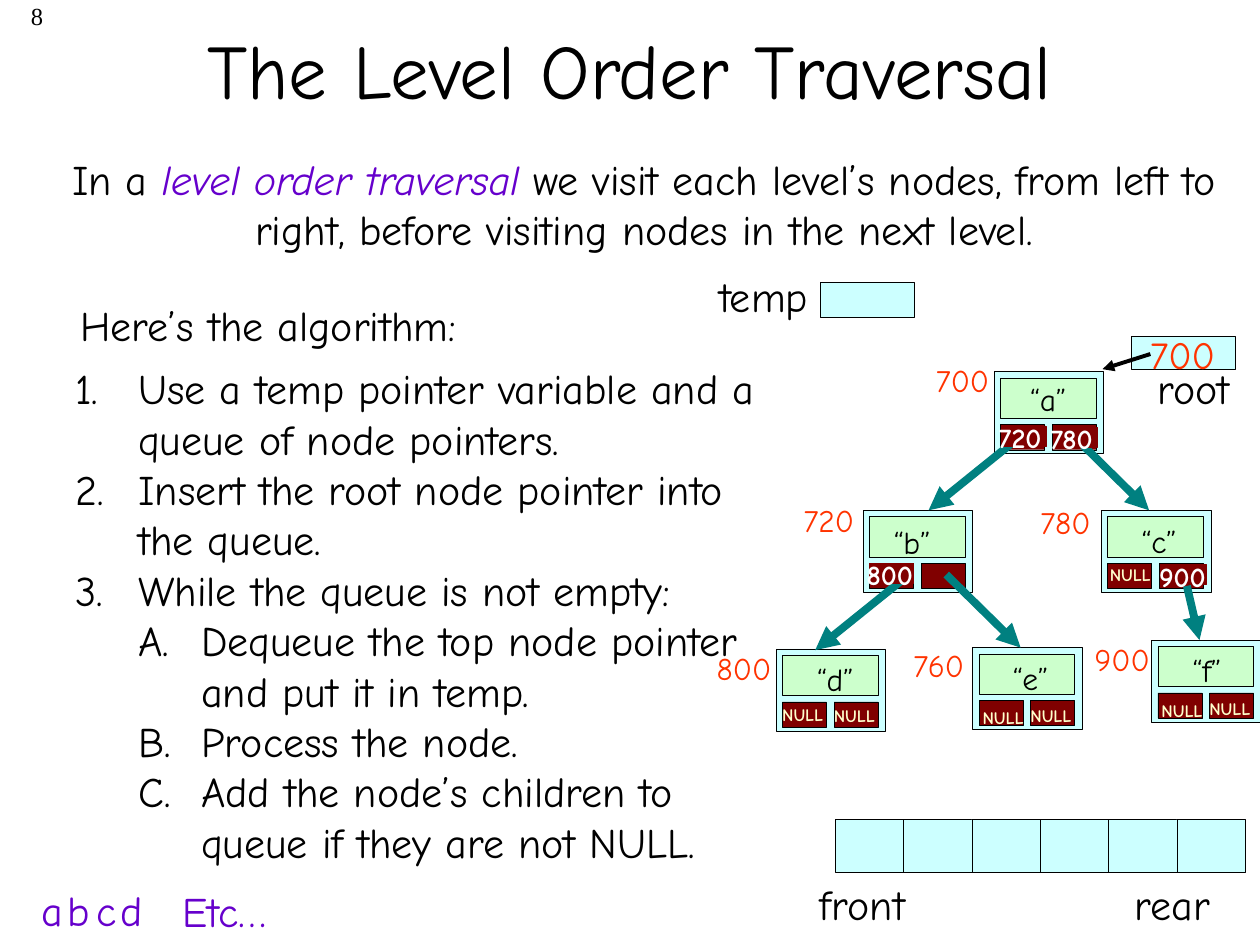
import pptx
import pptx.util
import pptx.dml.color
import pptx.enum.shapes
import pptx.enum.text
import pptx.oxml.ns
from lxml import etree

RGB = pptx.dml.color.RGBColor
ALIGN = pptx.enum.text.PP_ALIGN
BLACK = RGB(0x00, 0x00, 0x00)
WHITE = RGB(0xFF, 0xFF, 0xFF)
CYAN = RGB(0xCC, 0xFF, 0xFF)
GREEN = RGB(0xCC, 0xFF, 0xCC)
MAROON = RGB(0x80, 0x00, 0x00)
CREAM = RGB(0xFF, 0xFF, 0xCC)
TEAL = RGB(0x00, 0x80, 0x80)
RED = RGB(0xFF, 0x33, 0x00)
PURPLE = RGB(0x66, 0x00, 0xCC)
FONT = "Comic Neue"
SCALE = 9144  # EMU per px, 100 px to the inch

TITLE = "The Level Order Traversal"
INTRO = ("In a ", "level order traversal ",
         "we visit each level’s nodes, from left to right, "
         "before visiting nodes in the next level.")
STEPS = [
    (0, "Use a temp pointer variable and a queue of node pointers."),
    (0, "Insert the root node pointer into the queue."),
    (0, "While the queue is not empty:"),
    (1, "Dequeue the top node pointer and put it in temp."),
    (1, "Process the node."),
    (1, "Add the node’s children to queue if they are not NULL."),
]
# letter, left, top, letter nudge, address and its place,
# two pointers as (value, nudge x, nudge y)
NODES = [
    ("“a”", 789, 295, (0, 2), ("700", 733, 282), [("720", 1, 1), ("780", 1, 2)]),
    ("“b”", 685, 405, (-4, 5), ("720", 628, 393), [("800", 0, 0), None]),
    ("“c”", 874, 405, (3, 4), ("780", 816, 394), [("NULL", 2, -1), ("900", 2, 1)]),
    ("“d”", 616, 515, (4, 4), ("800", 559, 510), [("NULL", 0, 0), ("NULL", 0, 1)]),
    ("“e”", 772, 514, (3, 4), ("760", 715, 508), [("NULL", 3, 3), ("NULL", 0, 2)]),
    ("“f”", 914, 508, (1, 4), ("900", 859, 503), [("NULL", 3, 4), ("NULL", 0, 2)]),
]
EDGES = [
    (809, 347, 737, 405), (853, 347, 912, 405), (719, 458, 647, 516),
    (751, 456, 810, 514), (942, 465, 952, 508),
]
# text, left, top, width, height, size, colour
LABELS = [
    ("Here’s the algorithm:", 54, 233, 351, 50, 24, BLACK),
    ("temp", 561, 210, 98, 50, 24, BLACK),
    ("root", 909, 283, 87, 50, 24, BLACK),
    ("700", 903, 258, 76, 47, 22, RED),
    ("front", 641, 692, 104, 50, 24, BLACK),
    ("rear", 891, 692, 87, 50, 24, BLACK),
    ("a", 23, 697, 37, 50, 24, PURPLE),
    ("b", 44, 697, 40, 50, 24, PURPLE),
    ("c", 67, 697, 37, 50, 24, PURPLE),
    ("d", 86, 697, 40, 50, 24, PURPLE),
    ("Etc…", 135, 698, 96, 50, 24, PURPLE),
]
QUEUE = dict(left=663, top=650, cells=6, pitch=54.2, height=42)

deck = pptx.Presentation()
deck.slide_width, deck.slide_height = 1000 * SCALE, 750 * SCALE
slide = deck.slides.add_slide(deck.slide_layouts[6])
shapes = slide.shapes


def emu(*lengths):
    return [round(n * SCALE) for n in lengths]


def style(run, size, color, bold=False, font=FONT):
    run.font.name = font
    run.font.size = pptx.util.Pt(size)
    run.font.color.rgb = color
    run.font.bold = bold


def frame(x, y, w, h, wrap=False):
    text = shapes.add_textbox(*emu(x, y, w, h)).text_frame
    text.word_wrap = wrap
    return text


def write(words, x, y, w, h, size, color, bold=False, align=ALIGN.LEFT,
          wrap=False, font=FONT):
    text = frame(x, y, w, h, wrap)
    text.text = words
    para = text.paragraphs[0]
    para.alignment = align
    style(para.runs[0], size, color, bold, font)
    return text


def rect(x, y, w, h, fill, line=BLACK):
    box = shapes.add_shape(pptx.enum.shapes.MSO_SHAPE.RECTANGLE, *emu(x, y, w, h))
    box.shadow.inherit = False
    box.fill.solid()
    box.fill.fore_color.rgb = fill
    box.line.color.rgb = line
    box.line.width = pptx.util.Pt(0.25)


def arrow(x1, y1, x2, y2, color, width):
    link = shapes.add_connector(
        pptx.enum.shapes.MSO_CONNECTOR.STRAIGHT, *emu(x1, y1, x2, y2))
    link.line.color.rgb = color
    link.line.width = pptx.util.Pt(width)
    qn = pptx.oxml.ns.qn
    etree.SubElement(link.line._get_or_add_ln(), qn("a:tailEnd"), type="triangle")
    etree.SubElement(link._element.spPr, qn("a:effectLst"))


def number(para, level):
    """Give a paragraph an automatic number or letter and a hanging indent."""
    para.level = level
    props = para._p.get_or_add_pPr()
    left, hang = emu(50 * (level + 1), -50)
    props.set("marL", str(left))
    props.set("indent", str(hang))
    kind = ("arabicPeriod", "alphaUcPeriod")[level]
    etree.SubElement(props, pptx.oxml.ns.qn("a:buAutoNum"), type=kind)


def point(value, x, y):
    """Write a pointer's value; a number gets a plain patch behind it."""
    if value == "NULL":
        write(value, x - 10, y - 3, 57, 27, 10, CREAM, bold=True)
    else:
        rect(x, y, 35, 16, MAROON, MAROON)
        write(value, x - 12, y - 9, 61, 37, 16, WHITE, bold=True)


write("8", 4, -4, 40, 50, 14, BLACK, align=ALIGN.RIGHT, wrap=True,
      font="Times New Roman")
title = write(TITLE, 75, -8, 850, 125, 44, BLACK, align=ALIGN.CENTER, wrap=True)
title.vertical_anchor = pptx.enum.text.MSO_ANCHOR.MIDDLE

intro = frame(45, 117, 932, 90, wrap=True).paragraphs[0]
intro.alignment = ALIGN.CENTER
for words, color in zip(INTRO, (BLACK, PURPLE, BLACK)):
    run = intro.add_run()
    run.text = words
    style(run, 24, color)
    run.font.italic = color == PURPLE

steps = frame(50, 283, 577, 409, wrap=True)
steps.text = "\n".join(words for level, words in STEPS)
for para, (level, words) in zip(steps.paragraphs, STEPS):
    number(para, level)
    style(para.runs[0], 24, BLACK)

for letter, x, y, nudge, address, slots in NODES:
    rect(x, y, 87, 65, CYAN)
    rect(x + 5, y + 5, 76, 32, GREEN)
    for i in range(len(slots)):
        rect(x + 5 + 41 * i, y + 42, 35, 20, MAROON)

for edge in EDGES:
    arrow(*edge, TEAL, 4.5)

for letter, x, y, (dx, dy), (address, ax, ay), slots in NODES:
    write(letter, x + 5 + dx, y + dy, 76, 40, 18, BLACK, align=ALIGN.CENTER)
    write(address, ax, ay, 66, 40, 18, RED)
    for i, slot in enumerate(slots):
        if slot:
            value, sx, sy = slot
            point(value, x + 5 + 41 * i + sx, y + 42 + sy)

rect(651, 224, 75, 28, CYAN)
rect(898, 267, 82, 26, CYAN)
arrow(913, 281, 875, 293, BLACK, 2.25)
for i in range(QUEUE["cells"]):
    rect(QUEUE["left"] + i * QUEUE["pitch"], QUEUE["top"],
         QUEUE["pitch"], QUEUE["height"], CYAN)
for label in LABELS:
    write(*label)

deck.save("out.pptx")
